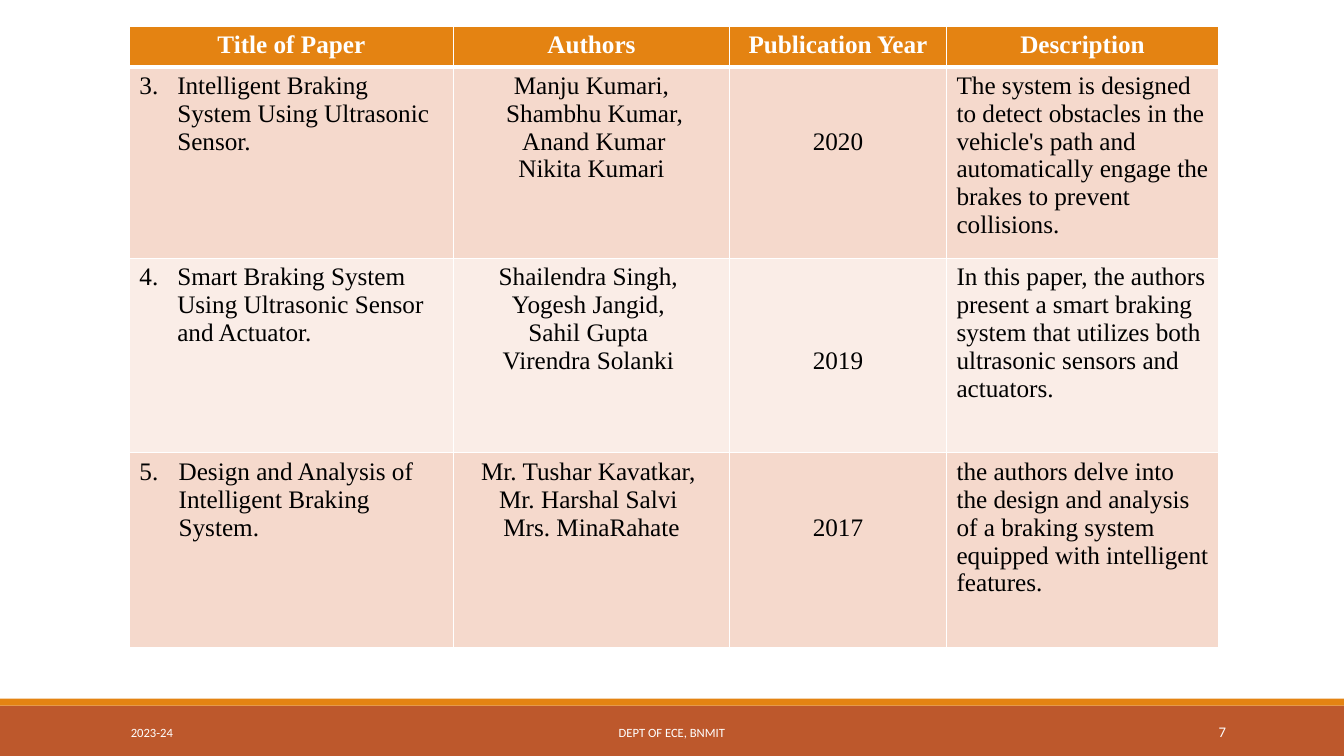
"""Build the literature survey slide with its table of papers and footer."""
import pptx
import pptx.dml.color
import pptx.enum.shapes
import pptx.enum.text
import pptx.oxml
import pptx.oxml.ns
import pptx.util

Pt = pptx.util.Pt
ALIGN = pptx.enum.text.PP_ALIGN
ANCHOR = pptx.enum.text.MSO_ANCHOR

COLORS = {
    "bar": "BD582C", "accent": "E48312", "white": "FFFFFF",
    "black": "000000", "band": "F5D9CC", "pale": "FAEDE7",
}
HEADINGS = ["Title of Paper", "Authors", "Publication Year", "Description"]
PAPERS = [
    {
        "number": 3, "indent": 27, "year": "2020", "year_line": 2,
        "title": "Intelligent Braking System Using Ultrasonic Sensor.",
        "authors": ["Manju Kumari,", " Shambhu Kumar,", " Anand Kumar", " Nikita Kumari "],
        "description": "The system is designed to detect obstacles in the vehicle's path "
                       "and automatically engage the brakes to prevent collisions.",
    },
    {
        "number": 4, "indent": 27, "year": "2019", "year_line": 3,
        "title": "Smart Braking System Using Ultrasonic Sensor and Actuator.",
        "authors": ["Shailendra Singh, ", "Yogesh Jangid, ", "Sahil Gupta ", "Virendra Solanki "],
        "description": "In this paper, the authors present a smart braking system that "
                       "utilizes both ultrasonic sensors and actuators.",
    },
    {
        "number": 5, "indent": 28, "year": "2017", "year_line": 2,
        "title": "Design and Analysis of Intelligent Braking System.",
        "authors": ["Mr. Tushar Kavatkar, ", "Mr. Harshal Salvi ", "Mrs. MinaRahate"],
        "description": "the authors delve into the design and analysis of a braking system "
                       "equipped with intelligent features.",
    },
]
FOOTERS = [
    ("2023-24", 86.4, 194.4, 9, ALIGN.LEFT),
    ("DEPT OF ECE, BNMIT", 290.2, 379.4, 9, ALIGN.CENTER),
    ("7", 779.8, 103, 10.5, ALIGN.RIGHT),
]
BARS = [("bar", 504, 36), ("accent", 499, 5)]

SLIDE_WIDTH, SLIDE_HEIGHT = 960, 540
TABLE_LEFT, TABLE_TOP = 92.4, 18.8
COLUMN_WIDTHS = [231.5, 197.2, 155, 194.4]
ROW_HEIGHTS = [27, 127, 139, 139]
LINE_HEIGHT, CELL_MARGIN = 20, 3.6


def rgb(name):
    """Return the named colour."""
    return pptx.dml.color.RGBColor.from_string(COLORS[name])


def write(frame, lines, font, size, color, align, bold=False):
    """Write one paragraph for each line."""
    for index, line in enumerate(lines):
        para = frame.add_paragraph() if index else frame.paragraphs[0]
        para.alignment = align
        span = para.add_run()
        span.text = line
        span.font.name, span.font.size, span.font.bold = font, Pt(size), bold
        span.font.color.rgb = rgb(color)


def number_paragraph(para, start, indent):
    """Give a paragraph an automatic number and a hanging indent."""
    properties = para._p.get_or_add_pPr()
    properties.set("marL", str(Pt(indent)))
    properties.set("indent", str(-Pt(indent)))
    properties.append(pptx.oxml.parse_xml(
        f'<a:buAutoNum {pptx.oxml.ns.nsdecls("a")} type="arabicPeriod" startAt="{start}"/>'))


def style_cell(cell, fill, header):
    """Fill a cell and draw its white borders."""
    cell.fill.solid()
    cell.fill.fore_color.rgb = rgb(fill)
    properties = cell._tc.get_or_add_tcPr()
    for index, side in enumerate("LRTB"):
        width = 3 if (header and side == "B") else 1
        properties.insert(index, pptx.oxml.parse_xml(
            f'<a:ln{side} {pptx.oxml.ns.nsdecls("a")} w="{Pt(width)}"><a:solidFill>'
            f'<a:srgbClr val="{COLORS["white"]}"/></a:solidFill></a:ln{side}>'))


def add_footer(slide):
    """Add the two bars and the footer texts."""
    for color, top, height in BARS:
        bar = slide.shapes.add_shape(pptx.enum.shapes.MSO_SHAPE.RECTANGLE,
                                     0, Pt(top), Pt(SLIDE_WIDTH), Pt(height))
        bar.shadow.inherit = False
        bar.fill.solid()
        bar.fill.fore_color.rgb = rgb(color)
        bar.line.fill.background()
    for text, left, width, size, align in FOOTERS:
        box = slide.shapes.add_textbox(Pt(left), Pt(508.5), Pt(width), Pt(28.8))
        box.text_frame.word_wrap = True
        box.text_frame.vertical_anchor = ANCHOR.MIDDLE
        write(box.text_frame, [text], "Calibri", size, "white", align)


def add_papers(slide):
    """Add the table of papers."""
    table = slide.shapes.add_table(
        len(ROW_HEIGHTS), len(COLUMN_WIDTHS), Pt(TABLE_LEFT), Pt(TABLE_TOP),
        Pt(sum(COLUMN_WIDTHS)), Pt(sum(ROW_HEIGHTS))).table
    for column, width in zip(table.columns, COLUMN_WIDTHS):
        column.width = Pt(width)
    for row, height in zip(table.rows, ROW_HEIGHTS):
        row.height = Pt(height)
    for index, heading in enumerate(HEADINGS):
        cell = table.cell(0, index)
        style_cell(cell, "accent", True)
        write(cell.text_frame, [heading], "Times New Roman", 18, "white", ALIGN.CENTER, True)
    aligns = [ALIGN.LEFT, ALIGN.CENTER, ALIGN.CENTER, ALIGN.LEFT]
    for row, paper in enumerate(PAPERS, 1):
        contents = [[paper["title"]], paper["authors"], [paper["year"]], [paper["description"]]]
        for column, (lines, align) in enumerate(zip(contents, aligns)):
            cell = table.cell(row, column)
            style_cell(cell, "band" if row % 2 else "pale", False)
            write(cell.text_frame, lines, "Times New Roman", 18, "black", align)
        number_paragraph(table.cell(row, 0).text_frame.paragraphs[0],
                         paper["number"], paper["indent"])
        table.cell(row, 2).margin_top = Pt(CELL_MARGIN + LINE_HEIGHT * paper["year_line"])


def main():
    """Build and save the deck."""
    deck = pptx.Presentation()
    deck.slide_width, deck.slide_height = Pt(SLIDE_WIDTH), Pt(SLIDE_HEIGHT)
    page = deck.slides.add_slide(deck.slide_layouts[6])
    add_footer(page)
    add_papers(page)
    deck.save("out.pptx")


if __name__ == "__main__":
    main()
